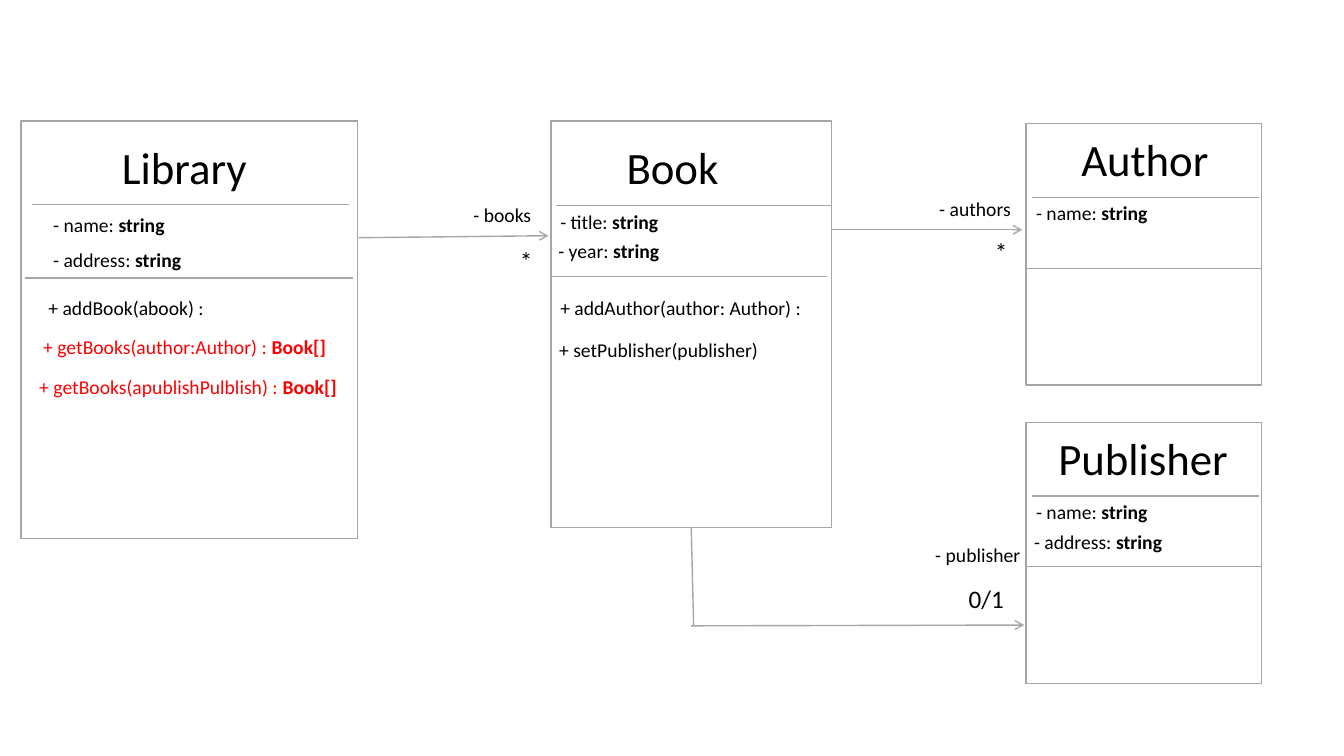
"""Build a UML class diagram slide of a library, its books, authors and publishers."""
from lxml import etree
from pptx import Presentation
from pptx.dml.color import RGBColor
from pptx.enum.shapes import MSO_CONNECTOR, MSO_SHAPE
from pptx.enum.text import MSO_AUTO_SIZE
from pptx.oxml.ns import qn
from pptx.util import Cm, Pt

WHITE = RGBColor(0xFF, 0xFF, 0xFF)
BLACK = RGBColor(0x00, 0x00, 0x00)
RED = RGBColor(0xFF, 0x00, 0x00)
BORDER = RGBColor(0xA5, 0xA5, 0xA5)
RULE = RGBColor(0xA6, 0xA6, 0xA6)
TEXT_HEIGHTS = {14: 0.86, 18: 1.02, 32: 1.63}

prs = Presentation()
prs.slide_width, prs.slide_height = Cm(33.87), Cm(19.05)
s = prs.slides.add_slide(prs.slide_layouts[6])


def add_text(x, y, width, size, text, bold_text="", color=BLACK):
    sp = s.shapes.add_textbox(Cm(x), Cm(y), Cm(width), Cm(TEXT_HEIGHTS[size]))
    tf = sp.text_frame
    tf.word_wrap = False
    tf.auto_size = MSO_AUTO_SIZE.SHAPE_TO_FIT_TEXT
    p = tf.paragraphs[0]
    p.font.name = "Calibri"
    p.font.size = Pt(size)
    p.font.color.rgb = color
    for part, bold in ((text, False), (bold_text, True)):
        if part:
            r = p.add_run()
            r.text = part
            r.font.name = "Calibri"
            r.font.size = Pt(size)
            r.font.color.rgb = color
            r.font.bold = bold


def add_line(x1, y1, x2, y2, arrow=False):
    line = s.shapes.add_connector(
        MSO_CONNECTOR.STRAIGHT, Cm(x1), Cm(y1), Cm(x2), Cm(y2))
    line.line.color.rgb = RULE
    line.line.width = Pt(1)
    sp_pr = line._element.spPr
    if arrow:
        etree.SubElement(sp_pr.find(qn("a:ln")), qn("a:tailEnd"), type="arrow")
    etree.SubElement(sp_pr, qn("a:effectLst"))


classes = [
    ("Library", (0.53, 3.05, 8.48, 10.52), (2.82, 3.4, 3.73),
     [(0.81, 5.16, 8.79), (0.64, 7.01, 8.89)],
     [(1.09, 5.23, 3.35, "- name: ", "string", BLACK),
      (1.09, 6.12, 3.76, "- address: ", "string", BLACK),
      (0.97, 7.32, 4.7, "+ addBook(abook) :", "", BLACK),
      (0.84, 8.31, 7.7, "+ getBooks(author:Author) : ", "Book[]", RED),
      (0.74, 9.32, 8.08, "+ getBooks(apublishPulblish) : ", "Book[]", RED)]),
    ("Book", (13.89, 3.05, 7.06, 10.24), (15.54, 3.4, 2.84),
     [(14.02, 5.18, 20.95), (13.89, 6.96, 20.83)],
     [(13.87, 5.16, 3.02, "- title: ", "string", BLACK),
      (13.82, 5.89, 3.07, "- year: ", "string", BLACK),
      (13.87, 7.32, 6.71, "+ addAuthor(author: Author) :", "", BLACK),
      (13.84, 8.38, 5.84, "+ setPublisher(publisher)", "", BLACK)]),
    ("Author", (25.86, 3.12, 5.94, 6.58), (27, 3.2, 3.76),
     [(26.01, 4.98, 31.72), (25.88, 6.76, 31.8)],
     [(25.86, 4.95, 3.35, "- name: ", "string", BLACK)]),
    ("Publisher", (25.86, 10.64, 5.94, 6.58), (26.42, 10.72, 4.83),
     [(26.01, 12.5, 31.72), (25.88, 14.27, 31.8)],
     [(25.86, 12.47, 3.35, "- name: ", "string", BLACK),
      (25.81, 13.23, 3.76, "- address: ", "string", BLACK)]),
]
for name, frame, title, dividers, members in classes:
    sp = s.shapes.add_shape(MSO_SHAPE.RECTANGLE, *map(Cm, frame))
    sp.shadow.inherit = False
    sp.fill.solid()
    sp.fill.fore_color.rgb = WHITE
    sp.line.color.rgb = BORDER
    sp.line.width = Pt(1)
    add_text(*title, 32, name)
    for x1, y, x2 in dividers:
        add_line(x1, y, x2, y)
    for x, y, width, text, bold_text, color in members:
        add_text(x, y, width, 14, text, bold_text, color)

associations = [
    ((9.04, 5.99, 13.82, 5.94), (11.68, 4.98, 1.98), "- books",
     (12.85, 6.05, 0.84), "*"),
    ((20.95, 5.79, 25.76, 5.79), (23.42, 4.85, 2.34), "- authors",
     (24.82, 5.82, 0.84), "*"),
    ((17.42, 15.77, 25.81, 15.75), (23.32, 13.56, 2.67), "- publisher",
     (24.16, 14.58, 1.42), "0/1"),
]
for ends, role_place, role, count_place, count in associations:
    add_line(*ends, arrow=True)
    add_text(*role_place, 14, role)
    add_text(*count_place, 18, count)
add_line(17.42, 13.31, 17.48, 15.77)

prs.save("out.pptx")
